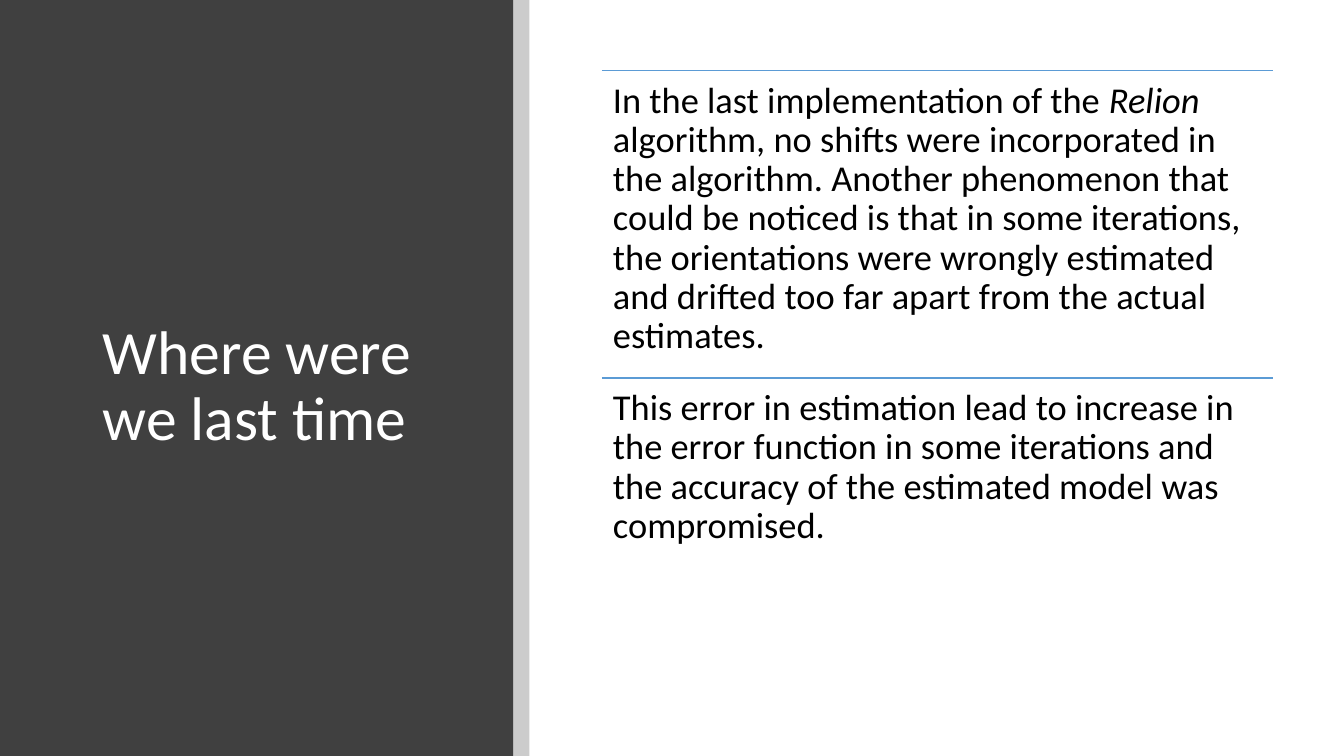
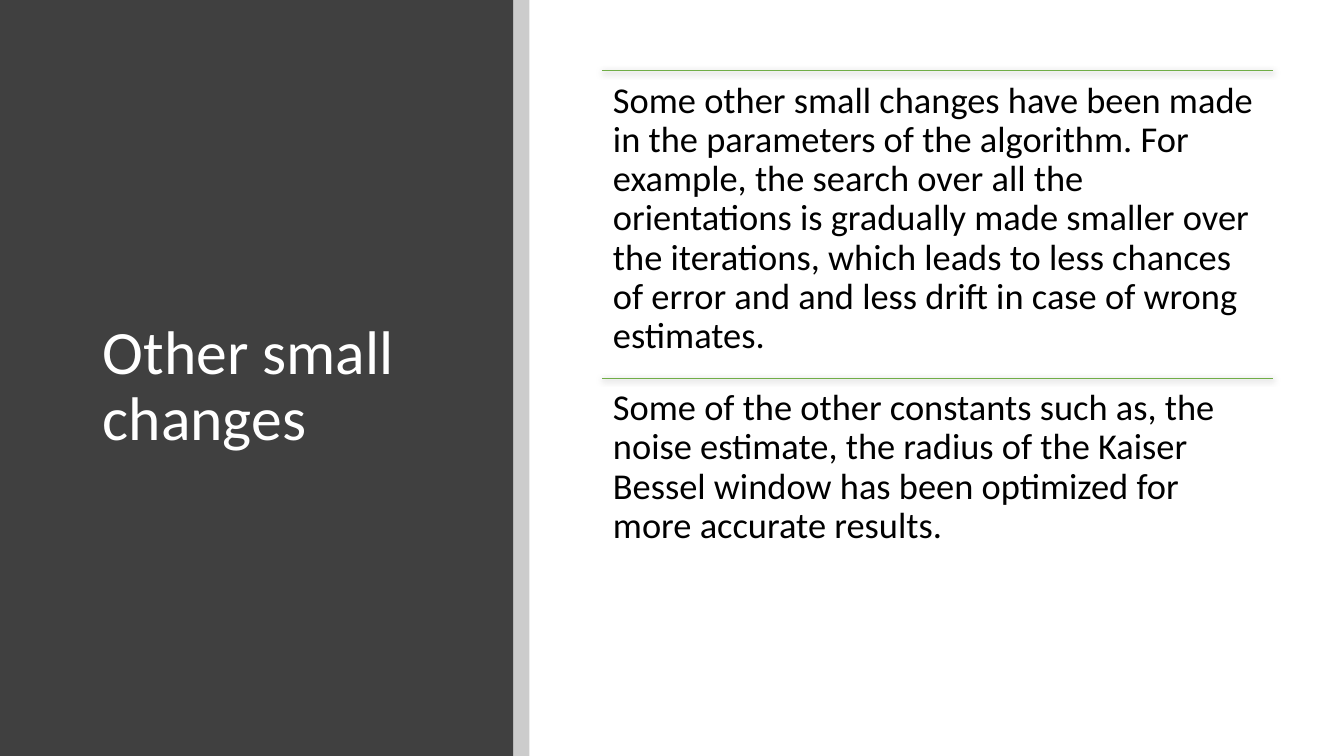
from lxml.etree import SubElement
from pptx import Presentation
from pptx.dml.color import RGBColor
from pptx.enum.shapes import MSO_CONNECTOR, MSO_SHAPE
from pptx.enum.text import MSO_ANCHOR
from pptx.oxml.ns import qn
from pptx.util import Inches, Pt

WHITE = RGBColor(0xFF, 0xFF, 0xFF)
BLACK = RGBColor(0x00, 0x00, 0x00)
CHARCOAL = RGBColor(0x40, 0x40, 0x40)
BLUE = RGBColor(0x5B, 0x9B, 0xD5)
GREEN = RGBColor(0x70, 0xAD, 0x47)

FONT = "Calibri"
SLIDE_W, SLIDE_H = 13.33, 7.5
PANEL_W, STRIP_W = 5.09, 0.16
BODY_LEFT, BODY_TOP, BODY_W, ROW_H = 5.97, 0.7, 6.66, 3.05


class Deck:
    """Shared style and the slide being built."""

    def __init__(self):
        self.prs = Presentation()
        self.prs.slide_width = Inches(SLIDE_W)
        self.prs.slide_height = Inches(SLIDE_H)
        self.slide = None

    def new_slide(self, title):
        self.slide = self.prs.slides.add_slide(self.prs.slide_layouts[6])
        self.band(0, PANEL_W, CHARCOAL)
        self.text(0.92, 0.89, 3.65, 5.91, [(title, False)], 44, WHITE,
                  (0.1, 0.05), MSO_ANCHOR.MIDDLE)
        self.band(PANEL_W, STRIP_W, BLACK, opacity=20)

    def band(self, left, width, color, opacity=100):
        band = self.slide.shapes.add_shape(
            MSO_SHAPE.RECTANGLE, Inches(left), 0, Inches(width), Inches(SLIDE_H))
        band.shadow.inherit = False
        band.line.fill.background()
        band.fill.solid()
        band.fill.fore_color.rgb = color
        if opacity < 100:
            tint = band.fill._xPr.find(".//" + qn("a:srgbClr"))
            SubElement(tint, qn("a:alpha"), val=str(opacity * 1000))

    def text(self, left, top, width, height, runs, size, color, margins, anchor):
        box = self.slide.shapes.add_textbox(
            Inches(left), Inches(top), Inches(width), Inches(height))
        frame = box.text_frame
        frame.word_wrap = True
        frame.vertical_anchor = anchor
        frame.margin_left = frame.margin_right = Inches(margins[0])
        frame.margin_top = frame.margin_bottom = Inches(margins[1])
        paragraph = frame.paragraphs[0]
        paragraph.line_spacing = 0.9
        for words, italic in runs:
            run = paragraph.add_run()
            run.text = words
            run.font.name = FONT
            run.font.size = Pt(size)
            run.font.italic = italic
            run.font.color.rgb = color

    def rule(self, top, color, weight, shadow):
        rule = self.slide.shapes.add_connector(
            MSO_CONNECTOR.STRAIGHT, Inches(BODY_LEFT), Inches(top),
            Inches(BODY_LEFT + BODY_W), Inches(top))
        rule.line.color.rgb = color
        rule.line.width = Pt(weight)
        effects = SubElement(rule._element.spPr, qn("a:effectLst"))
        if shadow:
            outer = SubElement(effects, qn("a:outerShdw"), blurRad=str(Pt(4.5)),
                               dist=str(Pt(1.5)), dir="5400000", rotWithShape="0")
            shade = SubElement(outer, qn("a:srgbClr"), val=str(BLACK))
            SubElement(shade, qn("a:alpha"), val="63000")

    def ruled_rows(self, rows, color, weight, shadow=False):
        for index, runs in enumerate(rows):
            top = BODY_TOP + index * ROW_H
            self.rule(top, color, weight, shadow)
            self.text(BODY_LEFT, top, BODY_W, ROW_H, runs, 26, BLACK,
                      (0.11, 0.11), MSO_ANCHOR.TOP)


deck = Deck()

# Slide 1: recap
deck.new_slide("Where were we last time")
deck.ruled_rows([
    [("In the last implementation of the ", False),
     ("Relion", True),
     (" algorithm, no shifts were incorporated in the algorithm. Another "
      "phenomenon that could be noticed is that in some iterations, the "
      "orientations were wrongly estimated and drifted too far apart from "
      "the actual estimates.", False)],
    [("This error in estimation lead to increase in the error function in "
      "some iterations and the accuracy of the estimated model was "
      "compromised.", False)],
], BLUE, 1)

# Slide 2: parameter changes
deck.new_slide("Other small changes")
deck.ruled_rows([
    [("Some other small changes have been made in the parameters of the "
      "algorithm. For example, the search over all the orientations is "
      "gradually made smaller over the iterations, which leads to less "
      "chances of error and and less drift in case of wrong estimates.", False)],
    [("Some of the other constants such as, the noise estimate, the radius "
      "of the Kaiser Bessel window has been optimized for more accurate "
      "results.", False)],
], GREEN, 0.5, shadow=True)

deck.prs.save("out.pptx")
